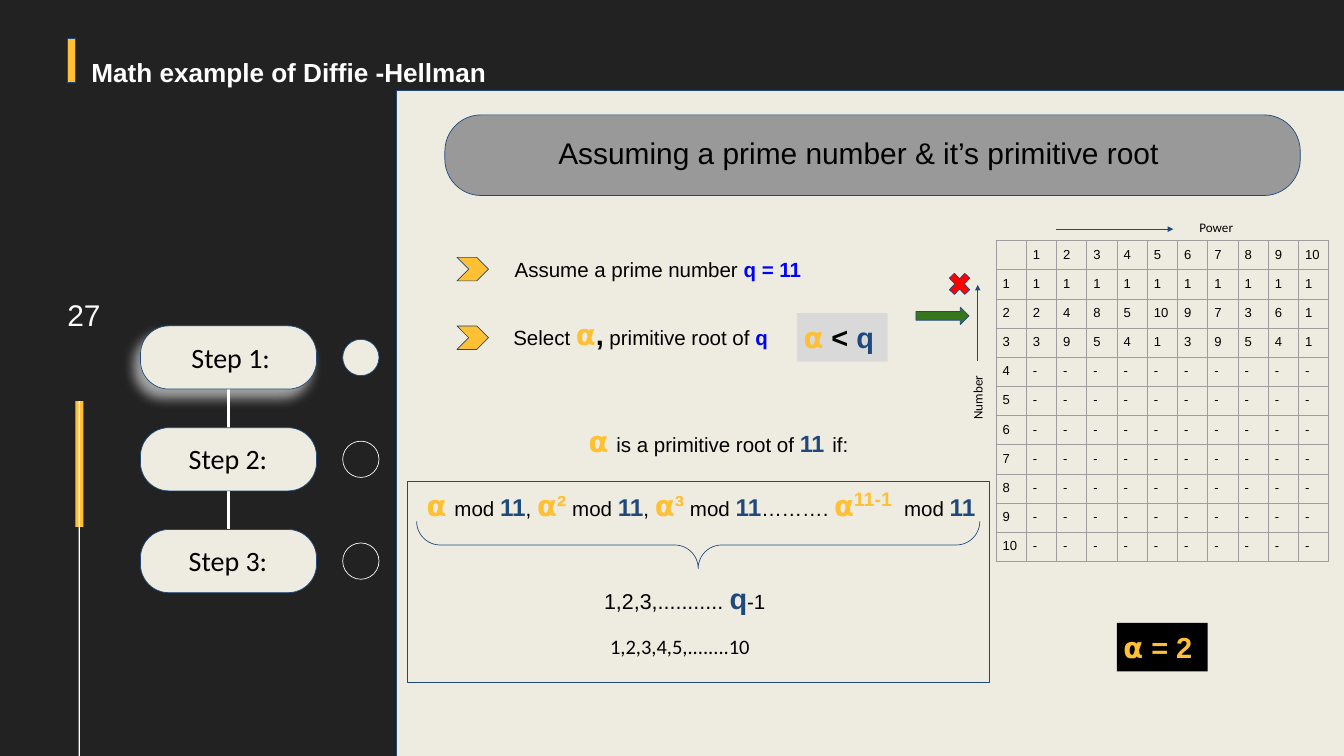
"""Build the slide on a worked Diffie-Hellman example: a prime and its primitive root."""
from lxml import etree
from pptx import Presentation
from pptx.dml.color import RGBColor
from pptx.enum.shapes import MSO_CONNECTOR, MSO_SHAPE
from pptx.enum.text import PP_ALIGN
from pptx.oxml import parse_xml
from pptx.oxml.ns import nsdecls, qn
from pptx.util import Inches, Pt

RECTANGLE = MSO_SHAPE.RECTANGLE
ROUNDED = MSO_SHAPE.ROUNDED_RECTANGLE
OVAL = MSO_SHAPE.OVAL
CHEVRON = MSO_SHAPE.CHEVRON
STRAIGHT = MSO_CONNECTOR.STRAIGHT
LEFT, CENTER, RIGHT = PP_ALIGN.LEFT, PP_ALIGN.CENTER, PP_ALIGN.RIGHT

DARK = RGBColor(0x22, 0x22, 0x22)
CREAM = RGBColor(0xEE, 0xEC, 0xE1)
NAVY = RGBColor(0x1F, 0x49, 0x7D)
GOLD = RGBColor(0xFF, 0xC0, 0x33)
WHITE = RGBColor(0xFF, 0xFF, 0xFF)
BLACK = RGBColor(0x00, 0x00, 0x00)
GRAY = RGBColor(0x99, 0x99, 0x99)
LIGHT_GRAY = RGBColor(0xD9, 0xD9, 0xD9)
BLUE = RGBColor(0x00, 0x00, 0xFF)
RED = RGBColor(0xFF, 0x00, 0x00)
GREEN = RGBColor(0x38, 0x76, 0x1D)

PLAIN = (22, BLACK, False)
SYMBOL = (31, GOLD, True)
SYMBOL_BLACK = (31, BLACK, True)
SYMBOL_NAVY = (31, NAVY, True)
PRIME = (26, NAVY, True)
KEY = (22, BLUE, True)
LABEL = (14, BLACK, False)

PRIME_NUMBER = 11

deck = Presentation()
deck.slide_width, deck.slide_height = Inches(20), Inches(11.25)
page = deck.slides.add_slide(deck.slide_layouts[6])
page.background.fill.solid()
page.background.fill.fore_color.rgb = DARK


def add_figure(kind, left, top, width, height, fill=None, line=NAVY, adjust=()):
    figure = page.shapes.add_shape(kind, Inches(left), Inches(top), Inches(width), Inches(height))
    figure.shadow.inherit = False
    if fill is None:
        figure.fill.background()
    else:
        figure.fill.solid()
        figure.fill.fore_color.rgb = fill
    if line is None:
        figure.line.fill.background()
    else:
        figure.line.color.rgb = line
        figure.line.width = Pt(0.75)
    for index, value in enumerate(adjust):
        figure.adjustments[index] = value
    return figure


def add_text(left, top, width, height, spans, font="Arial", align=LEFT, inset=0.1, fill=None):
    box = page.shapes.add_textbox(Inches(left), Inches(top), Inches(width), Inches(height))
    frame = box.text_frame
    frame.word_wrap = True
    frame.margin_left = frame.margin_right = Inches(inset)
    frame.margin_top = frame.margin_bottom = Inches(inset)
    if fill is not None:
        box.fill.solid()
        box.fill.fore_color.rgb = fill
    para = frame.paragraphs[0]
    para.alignment = align
    for text, (size, color, bold) in spans:
        span = para.add_run()
        span.text = text
        span.font.name = font
        span.font.size = Pt(size)
        span.font.color.rgb = color
        span.font.bold = bold
    return box


add_figure(RECTANGLE, 5.9, 1.34, 16.54, 9.91, CREAM)

for start_x, start_y, end_x, end_y, color, weight, arrow in [
    (3.4, 5.41, 3.4, 8.25, WHITE, 2.25, False),
    (15.72, 3.41, 17.46, 3.41, NAVY, 0.75, True),
    (14.55, 5.37, 14.55, 4.24, NAVY, 0.75, True),
]:
    connector = page.shapes.add_connector(
        STRAIGHT, Inches(start_x), Inches(start_y), Inches(end_x), Inches(end_y))
    connector.line.color.rgb = color
    connector.line.width = Pt(weight)
    if arrow:
        etree.SubElement(connector.line._get_or_add_ln(), qn("a:tailEnd"), type="triangle")
    etree.SubElement(connector._element.spPr, qn("a:effectLst"))

add_figure(RECTANGLE, 1.12, 5.97, 0.12, 1.87, GOLD, None)
add_figure(RECTANGLE, 1.17, 5.97, 0.02, 6.35, WHITE, None)
add_text(0.73, 4.41, 1.04, 0.54, [("27", (32, WHITE, False))], align=CENTER, inset=0)
title = add_text(-0.88, 0.66, 8.11, 0.47, [("Math example of Diffie -Hellman", (28, WHITE, True))],
                 align=RIGHT, inset=0)
title.text_frame.paragraphs[0].line_spacing = 1.4
add_figure(RECTANGLE, 1, 0.57, 0.12, 0.66, GOLD)

for number, label_left in enumerate([2.75, 2.71, 2.71], start=1):
    top = 4.85 + (number - 1) * 1.515
    current = number == 1
    step = add_figure(ROUNDED, 2.09, top, 2.62, 0.94, CREAM, adjust=[0.45])
    if current:
        effects = step._element.spPr.find(qn("a:effectLst"))
        effects.append(parse_xml(
            f'<a:outerShdw {nsdecls("a")} blurRad="{Pt(13.5)}" dist="{Pt(11.2)}" dir="7560000" '
            'algn="bl" rotWithShape="0"><a:srgbClr val="FFFFFF"><a:alpha val="60000"/>'
            '</a:srgbClr></a:outerShdw>'))
    add_text(label_left, top + 0.11, 2.25, 0.71, [(f"Step {number}:", (30, BLACK, False))], "Calibri")
    add_figure(OVAL, 5.1, top + 0.2, 0.54, 0.54,
               CREAM if current else None, NAVY if current else WHITE)

add_figure(ROUNDED, 6.62, 1.71, 12.73, 1.2, GRAY, adjust=[0.45])
add_text(8.21, 1.91, 10.89, 0.74,
         [("Assuming a prime number & it’s primitive root", (32, BLACK, False))])

for top in (3.83, 4.85):
    add_figure(CHEVRON, 6.8, top, 0.47, 0.35, GOLD, adjust=[0.5])
add_text(7.56, 3.72, 5.41, 0.57, [("Assume a prime number ", PLAIN), ("q = 11", KEY)])
add_text(7.54, 4.61, 5.12, 0.72, [
    ("Select ", PLAIN), ("⍺", SYMBOL), (",", SYMBOL_BLACK),
    (" primitive root of ", PLAIN), ("q", KEY)])
add_text(11.86, 4.66, 1.35, 0.72,
         [("⍺ ", SYMBOL), ("< ", SYMBOL_BLACK), ("q", SYMBOL_NAVY)], fill=LIGHT_GRAY)

add_text(8.66, 6.21, 8.11, 0.72, [
    ("⍺ ", SYMBOL), ("is a primitive root of ", PLAIN), ("11", (25, NAVY, True)),
    (" ", SYMBOL_NAVY), ("if:", PLAIN)])
formula = add_text(6.25, 6.93, 8.67, 0.99, [
    ("⍺ ", SYMBOL), ("mod ", PLAIN), ("11", PRIME), (", ", PLAIN),
    ("⍺²", SYMBOL), (" mod ", PLAIN), ("11", PRIME), (", ", PLAIN),
    ("⍺³", SYMBOL), (" mod ", PLAIN), ("11", PRIME), ("………. ", PLAIN),
    ("⍺", SYMBOL), ("11-1", (36, GOLD, True)), (" ", (47, GOLD, True)),
    ("mod ", PLAIN), ("11", PRIME)])
for span in formula.text_frame.paragraphs[0].runs:
    if span.text == "11-1":
        span.font._element.set("baseline", "30000")
add_text(8.89, 8.54, 3.08, 0.72, [
    ("1,2,3,........... ", (23, BLACK, False)), ("q", SYMBOL_NAVY), ("-1", PLAIN)])
add_figure(RECTANGLE, 6.06, 7.17, 8.67, 2.98)
brace = add_figure(MSO_SHAPE.LEFT_BRACE, 10.04, 3.92, 0.7, 8.38, adjust=[0.5, 0.5])
brace.rotation = 270
add_text(8.98, 9.34, 2.91, 0.57, [("1,2,3,4,5,........10", PLAIN)], "Calibri")

add_text(17.75, 3.16, 1.1, 0.44, [("Power", LABEL)], "Calibri")
number_label = add_text(14, 5.57, 1.1, 0.44, [("Number", LABEL)], "Calibri")
number_label.rotation = 270

size = PRIME_NUMBER
table = page.shapes.add_table(size, size, Inches(14.82), Inches(3.58),
                              Inches(0.45 * size), Inches(0.43 * size)).table
table.first_row = table.horz_banding = False
for row in range(size):
    for column in range(size):
        cell = table.cell(row, column)
        cell.margin_left = cell.margin_right = Inches(0.1)
        cell.margin_top = cell.margin_bottom = Inches(0.1)
        para = cell.text_frame.paragraphs[0]
        if row == 0 or column == 0:
            para.text = str(row + column) if row + column else ""
        else:
            para.text = str(pow(row, column, PRIME_NUMBER)) if row <= 3 else "-"
        for span in para.runs:
            span.font.name = "Arial"
            span.font.size = Pt(14)
            span.font.color.rgb = BLACK
        if not para.runs:
            etree.SubElement(para._p, qn("a:endParaRPr"), sz="1400")
        properties = cell._tc.get_or_add_tcPr()
        for side in ("lnL", "lnR", "lnT", "lnB"):
            properties.append(parse_xml(
                f'<a:{side} {nsdecls("a")} w="{Pt(0.75)}"><a:solidFill>'
                f'<a:srgbClr val="9E9E9E"/></a:solidFill></a:{side}>'))
        cell.fill.background()

add_figure(MSO_SHAPE.MATH_MULTIPLY, 14.06, 3.99, 0.44, 0.47, RED, adjust=[0.235])
add_figure(MSO_SHAPE.RIGHT_ARROW, 13.63, 4.57, 0.79, 0.26, GREEN, adjust=[0.5, 0.5])
add_text(16.62, 9.27, 1.35, 0.72, [("⍺ = 2", SYMBOL)], fill=BLACK)

deck.save("out.pptx")
